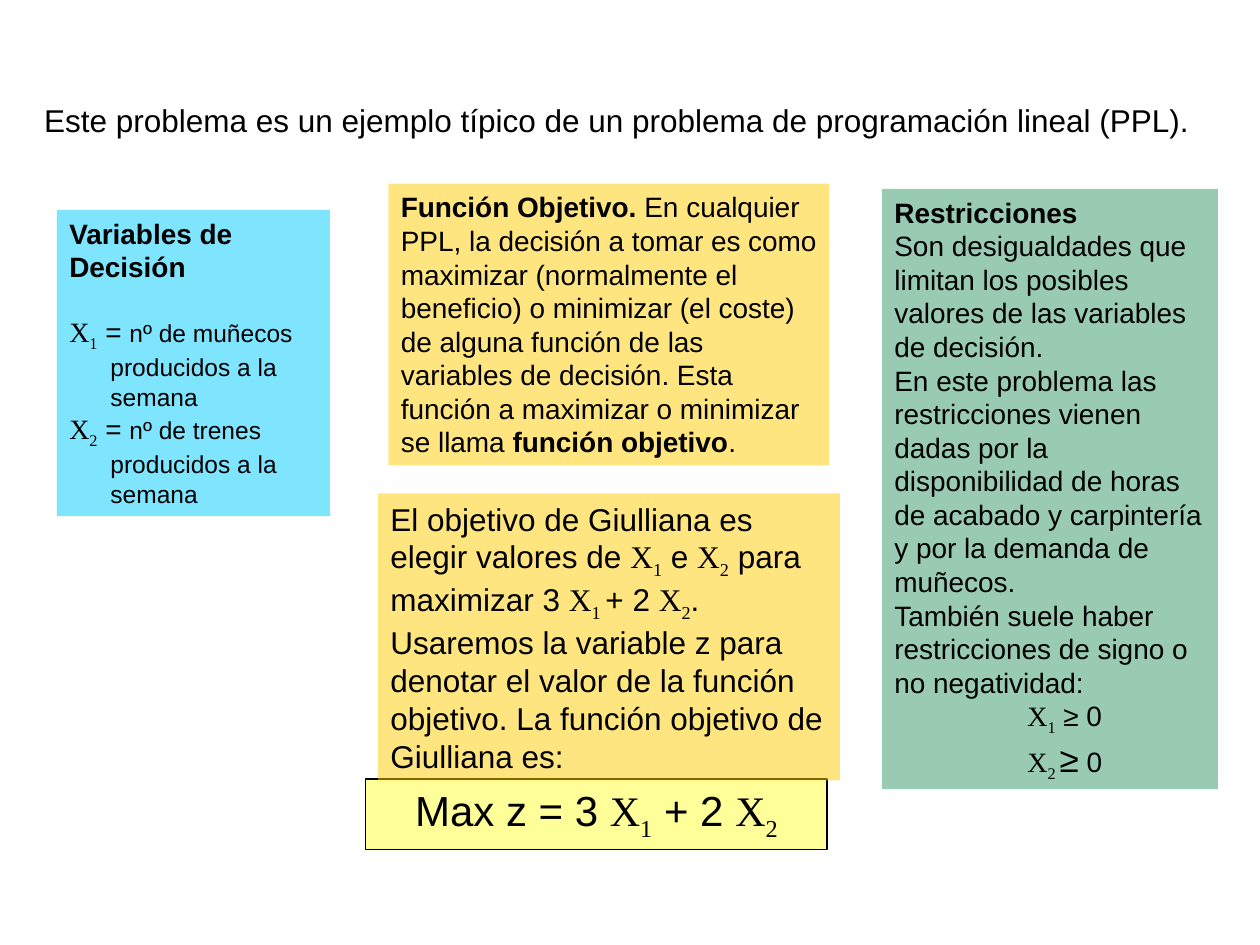
from lxml import etree
from pptx import Presentation
from pptx.dml.color import RGBColor
from pptx.enum import shapes, text
from pptx.oxml.ns import qn
from pptx.util import Pt

SANS, SERIF = "Arial", "Times New Roman"


def color(code):
    return RGBColor.from_string(code)


def var(num):
    """Runs of a decision variable with its subscript."""
    return [("X", "var"), (num, "sub")]


def style(run, kind, size):
    font = run.font
    font.name = SERIF if kind in ("var", "sub") else SANS
    font.size = Pt(size)
    font.bold = kind == "bold"
    font.color.rgb = color("000000")
    if kind == "sub":
        run._r.get_or_add_rPr().set("baseline", "-25000")


def write(frame, paras, size, align=text.PP_ALIGN.LEFT):
    """Fill a frame; each paragraph is a list of (words, kind[, size]) runs."""
    frame.word_wrap = True
    frame.auto_size = text.MSO_AUTO_SIZE.SHAPE_TO_FIT_TEXT
    frame.vertical_anchor = text.MSO_ANCHOR.TOP
    for i, runs in enumerate(paras):
        para = frame.paragraphs[0] if i == 0 else frame.add_paragraph()
        para.alignment = align
        for words, kind, *own in runs:
            run = para.add_run()
            run.text = words
            style(run, kind, own[0] if own else size)
    return frame.paragraphs


def indent(para, left, first=0):
    props = para._p.get_or_add_pPr()
    props.set("marL", str(Pt(left)))
    props.set("indent", str(Pt(first)))


def add_box(slide, place, fill, clear=True):
    box = slide.shapes.add_shape(shapes.MSO_SHAPE.RECTANGLE, *map(Pt, place))
    box.shadow.inherit = False
    box.fill.solid()
    box.fill.fore_color.rgb = color(fill)
    if clear:
        tint = box.fill._xPr.find(".//" + qn("a:srgbClr"))
        etree.SubElement(tint, qn("a:alpha")).set("val", "50000")
        box.line.fill.background()
    else:
        box.line.color.rgb = color("000000")
        box.line.width = Pt(1)
    return box.text_frame


def add_title(slide, words):
    title = slide.shapes.title
    title.left, title.top, title.width, title.height = map(Pt, (18, 54, 678, 29))
    write(title.text_frame, [[(words, "")]], 18)


def add_vars(slide):
    frame = add_box(slide, (32.5, 120, 156, 175), "00CCFF")
    lines = [var(num) + [(" = ", ""), (f"nº de {toy} producidos a la semana", "", 14)]
             for num, toy in (("1", "muñecos"), ("2", "trenes"))]
    paras = write(frame, [[("Variables de Decisión", "bold")]] + lines, 16)
    for para in paras[1:]:
        indent(para, 23.5, -23.5)
    paras[1].space_before = Pt(17.7)


def add_goal(slide):
    frame = add_box(slide, (222, 105, 252, 161), "FFCC00")
    write(frame, [[
        ("Función Objetivo.", "bold"),
        (" En cualquier PPL, la decisión a tomar es como maximizar (normalmente "
         "el beneficio) o minimizar (el coste) de alguna función de las variables "
         "de decisión. Esta función a maximizar o minimizar se llama ", ""),
        ("función objetivo", "bold"), (".", "")]], 16)


def add_model(slide):
    frame = add_box(slide, (208.8, 445, 264, 40.5), "FFFF99", clear=False)
    write(frame, [[("Max z = 3 ", ""), *var("1"), (" + 2 ", ""), *var("2")]],
          24, text.PP_ALIGN.CENTER)
    frame = add_box(slide, (216, 282, 264, 164), "FFCC00")
    write(frame, [[
        ("El objetivo de Giulliana es elegir valores de ", ""), *var("1"),
        (" e ", ""), *var("2"), (" para maximizar 3 ", ""), *var("1 "),
        ("+ 2 ", ""), *var("2"),
        (". Usaremos la variable z para denotar el valor de la función objetivo. "
         "La función objetivo de Giulliana es:", "")]], 18)


def add_limits(slide):
    frame = add_box(slide, (504, 108, 192, 343), "339966")
    paras = write(frame, [
        [("Restricciones", "bold")],
        [("Son desigualdades que limitan los posibles valores de las variables "
          "de decisión.", "")],
        [("En este problema las restricciones vienen dadas por la disponibilidad "
          "de horas de acabado y carpintería y por la demanda de muñecos.", "")],
        [("También suele haber restricciones de signo o no negatividad:", "")],
        var("1") + [(" ≥ 0", "")],
        var("2 ") + [("≥", "", 20), (" 0", "")]], 16)
    for para in paras[-2:]:
        indent(para, 76)


def main():
    deck = Presentation()
    deck.slide_width, deck.slide_height = Pt(720), Pt(540)
    slide = deck.slides.add_slide(deck.slide_layouts[5])
    add_title(slide, "Este problema es un ejemplo típico de un problema de "
                     "programación lineal (PPL).")
    add_vars(slide)
    add_goal(slide)
    add_model(slide)
    add_limits(slide)
    deck.save("out.pptx")


if __name__ == "__main__":
    main()
